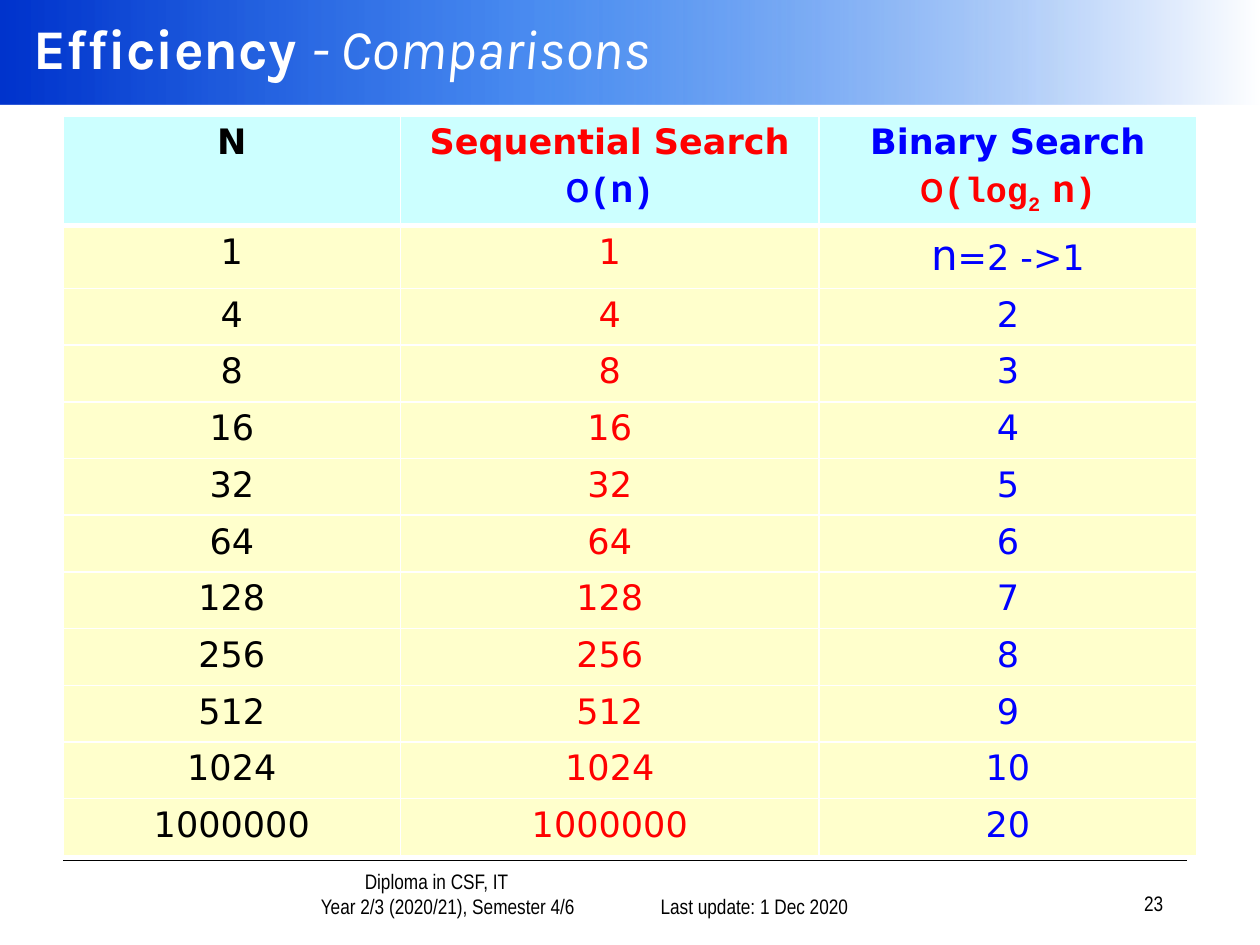
from dataclasses import dataclass

from lxml import etree
from pptx import Presentation
from pptx import util as u
from pptx.dml.color import RGBColor
from pptx.enum import shapes, text
from pptx.oxml.ns import qn


@dataclass(frozen=True)
class Theme:
    black: str = "000000"
    white: str = "FFFFFF"
    red: str = "FF0000"
    blue: str = "0000FF"
    head_fill: str = "CCFFFF"
    body_fill: str = "FFFFCC"
    band: tuple = ((0, "0033CC", 100), (43, "005EEB", 70), (100, "FFFFFF", 100))
    title_font: str = "Karla"
    table_font: str = "DejaVu Sans"
    code_font: str = "Courier New"
    var_font: str = "Calibri"
    footer_font: str = "Arial Narrow"
    title: int = 32
    cell: int = 20
    var: int = 24
    footer: int = 12


def sub(parent, tag, **attrs):
    return etree.SubElement(parent, qn(tag), {k: str(v) for k, v in attrs.items()})


class Deck:
    def __init__(self, theme):
        self.t = theme
        self.prs = Presentation()
        self.prs.slide_width, self.prs.slide_height = u.Inches(10), u.Inches(7.5)
        self.s = self.prs.slides.add_slide(self.prs.slide_layouts[6])

    def run(self, p, words, font, size, color, bold=False, italic=False, base=0):
        r = p.add_run()
        r.text = words
        f = r.font
        f.name, f.size, f.bold, f.italic = font, u.Pt(size), bold, italic
        f.color.rgb = RGBColor.from_string(color)
        if base:
            r._r.get_or_add_rPr().set("baseline", str(base * 1000))

    def paragraphs(self, tf, paras, align):
        for i, runs in enumerate(paras):
            p = tf.add_paragraph() if i else tf.paragraphs[0]
            p.alignment = align
            for r in runs:
                self.run(p, *r)

    def textbox(self, box, paras, align, anchor, indents=()):
        tf = self.s.shapes.add_textbox(*map(u.Inches, box)).text_frame
        tf.word_wrap = True
        tf.vertical_anchor = anchor
        self.paragraphs(tf, paras, align)
        for p, indent in zip(tf.paragraphs, indents):
            p._p.get_or_add_pPr().set("marL", str(u.Inches(indent)))

    def footer(self, box, lines, align, indents=()):
        t = self.t
        paras = [[(line, t.footer_font, t.footer, t.black)] for line in lines]
        self.textbox(box, paras, align, text.MSO_ANCHOR.BOTTOM, indents)

    def band(self, box, stops):
        sp = self.s.shapes.add_shape(shapes.MSO_SHAPE.RECTANGLE, *map(u.Inches, box))
        sp.shadow.inherit = False
        sp.line.fill.background()
        sp.fill.gradient()
        sp.fill.gradient_angle = 0
        gs_list = sp._element.spPr.find(qn("a:gradFill")).find(qn("a:gsLst"))
        for gs in list(gs_list):
            gs_list.remove(gs)
        for pos, color, alpha in stops:
            clr = sub(sub(gs_list, "a:gs", pos=pos * 1000), "a:srgbClr", val=color)
            if alpha < 100:
                sub(clr, "a:alpha", val=alpha * 1000)

    def rule(self, x1, x2, y):
        ends = map(u.Inches, (x1, y, x2, y))
        c = self.s.shapes.add_connector(shapes.MSO_CONNECTOR.STRAIGHT, *ends)
        c.line.width = u.Pt(1)
        c.line.color.rgb = RGBColor.from_string(self.t.black)
        sub(c._element.spPr, "a:effectLst")

    def cell(self, cell, paras, fill, top, bottom):
        tc_pr = cell._tc.get_or_add_tcPr()
        for side, width in (("L", 1), ("R", 1), ("T", top), ("B", bottom)):
            ln = sub(tc_pr, "a:ln" + side, w=u.Pt(width))
            sub(sub(ln, "a:solidFill"), "a:srgbClr", val=self.t.white)
        cell.fill.solid()
        cell.fill.fore_color.rgb = RGBColor.from_string(fill)
        self.paragraphs(cell.text_frame, paras, text.PP_ALIGN.CENTER)

    def table(self, box, widths, heights, rows):
        shape = self.s.shapes.add_table(len(rows), len(widths), *map(u.Inches, box))
        tbl = shape.table
        for col, width in zip(tbl.columns, widths):
            col.width = u.Inches(width)
        for i, (row, height) in enumerate(zip(rows, heights)):
            tbl.rows[i].height = u.Inches(height)
            fill = self.t.body_fill if i else self.t.head_fill
            top, bottom = (3 if i == 1 else 1), (1 if i else 3)
            for j, paras in enumerate(row):
                self.cell(tbl.cell(i, j), paras, fill, top, bottom)


def search_rows(t):
    def heading(words, color):
        return [(words, t.table_font, t.cell, color, True)]

    def order(color, opening, *subscript):
        return [("O", t.title_font, t.cell, color, True),
                (opening, t.code_font, t.cell, color, True),
                *subscript,
                ("n", t.var_font, t.var, color, True),
                (")", t.code_font, t.cell, color, True)]

    def value(words, color, size=t.cell):
        return (str(words), t.table_font, size, color)

    log_base = ("2 ", t.code_font, t.cell, t.red, True, False, -25)
    rows = [[[heading("N", t.black)],
             [heading("Sequential Search", t.red), order(t.blue, "(")],
             [heading("Binary Search", t.blue), order(t.red, "(log", log_base)]]]
    steps = {1: 1, **{2 ** k: k for k in range(2, 11)}, 1000000: 20}
    for n, binary in steps.items():
        last = [value(binary, t.blue)]
        if n == 1:
            last = [value("n", t.blue, t.var), value("=2 ->1", t.blue)]
        rows.append([[[value(n, t.black)]], [[value(n, t.red)]], [last]])
    return rows


def main():
    t = Theme()
    d = Deck(t)
    al = text.PP_ALIGN
    d.footer((1.68, 6.92, 3.07, 0.42),
             ["Diploma in CSF, IT", "Year 2/3 (2020/21), Semester 4/6"],
             al.CENTER, (0.5, 0.68))
    d.rule(0.5, 9.42, 6.83)
    d.band((0, 0, 10, 0.83), t.band)
    d.footer((4.75, 6.92, 2.08, 0.42), ["Last update: 1 Dec 2020"], al.RIGHT)
    d.footer((7.25, 6.9, 2.08, 0.42), ["23"], al.RIGHT)
    d.textbox((0.17, 0, 9.83, 0.75),
              [[("Efficiency ", t.title_font, t.title, t.white, True),
                ("- Comparisons", t.title_font, t.title, t.white, False, True)]],
              al.LEFT, text.MSO_ANCHOR.MIDDLE)
    rows = search_rows(t)
    heights = [0.8] + [0.45] * (len(rows) - 1)
    d.table((0.5, 0.92, 9, sum(heights)), (2.68, 3.32, 3), heights, rows)
    d.prs.save("out.pptx")


if __name__ == "__main__":
    main()
